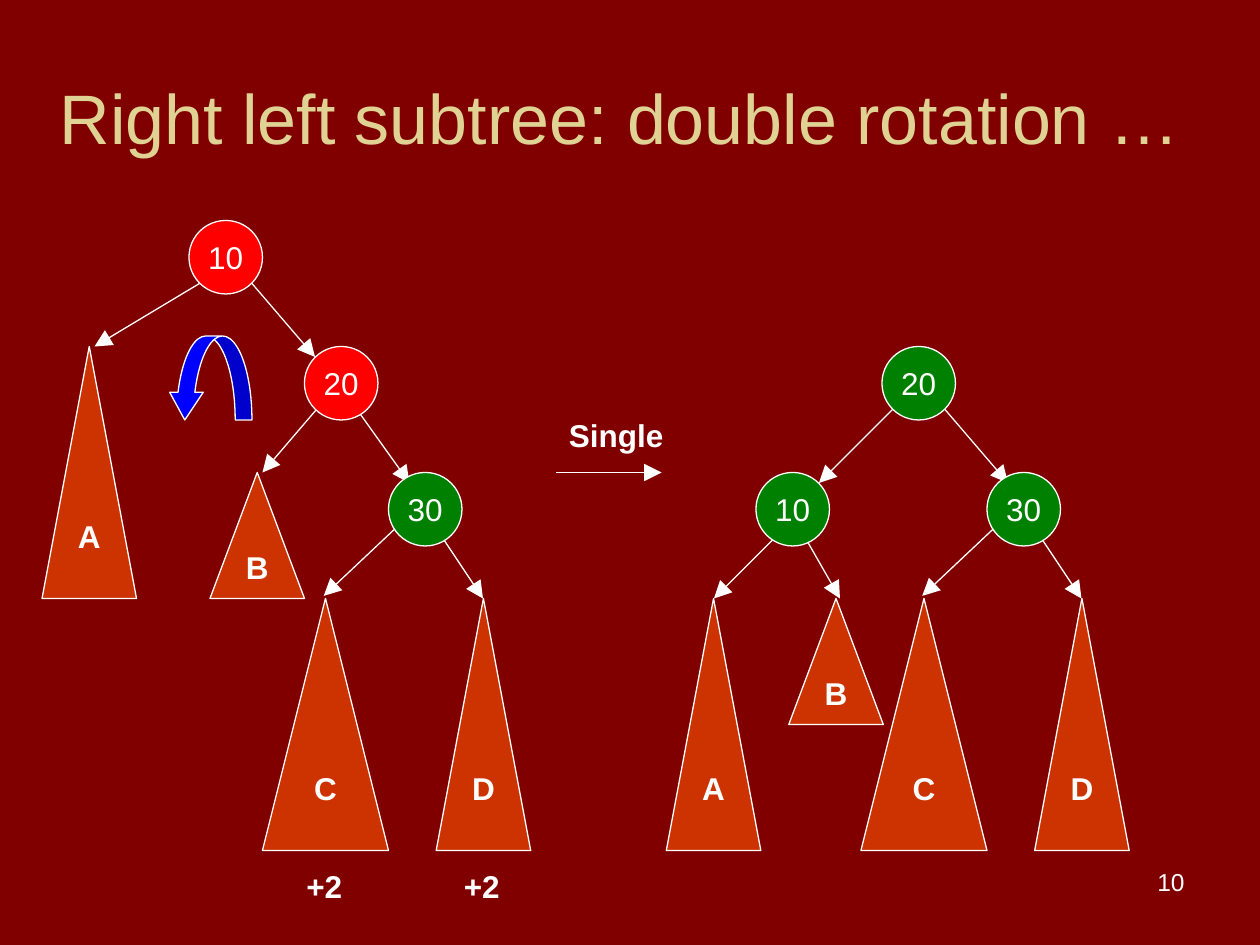
from lxml.etree import SubElement
from pptx import Presentation
from pptx.dml.color import RGBColor
from pptx.enum.shapes import MSO_CONNECTOR, MSO_SHAPE
from pptx.enum.text import MSO_ANCHOR, MSO_AUTO_SIZE, PP_ALIGN
from pptx.oxml.ns import qn
from pptx.util import Pt

MAROON = RGBColor(0x80, 0x00, 0x00)
SAND = RGBColor(0xDF, 0xD2, 0x93)
WHITE = RGBColor(0xFF, 0xFF, 0xFF)
RED = RGBColor(0xFF, 0x00, 0x00)
GREEN = RGBColor(0x00, 0x80, 0x00)
RUST = RGBColor(0xCC, 0x33, 0x00)
BLUE = RGBColor(0x00, 0x00, 0xFF)

NODE_SIZE = 42


def write(frame, text, size=18, color=WHITE, bold=False, align=PP_ALIGN.CENTER):
    para = frame.paragraphs[0]
    para.alignment = align
    span = para.add_run()
    span.text = text
    span.font.name = "Arial"
    span.font.size = Pt(size)
    span.font.bold = bold
    span.font.color.rgb = color


def add_title(page, text):
    title = page.shapes.title
    title.left, title.top, title.width, title.height = Pt(24), Pt(21.6), Pt(660), Pt(90)
    frame = title.text_frame
    frame.auto_size = MSO_AUTO_SIZE.NONE
    frame.vertical_anchor = MSO_ANCHOR.MIDDLE
    write(frame, text, size=40, color=SAND)


def add_outlined(page, kind, left, top, width, height, color):
    shape = page.shapes.add_shape(kind, Pt(left), Pt(top), Pt(width), Pt(height))
    shape.shadow.inherit = False
    shape.fill.solid()
    shape.fill.fore_color.rgb = color
    shape.line.color.rgb = WHITE
    shape.line.width = Pt(0.75)
    return shape


def add_labelled(page, kind, left, top, width, height, color, text, bold):
    frame = add_outlined(page, kind, left, top, width, height, color).text_frame
    frame.word_wrap = False
    frame.vertical_anchor = MSO_ANCHOR.MIDDLE
    write(frame, text, bold=bold)


def add_node(page, text, left, top, color):
    add_labelled(page, MSO_SHAPE.OVAL, left, top, NODE_SIZE, NODE_SIZE, color, text, False)


def add_subtree(page, text, apex, top, width=54, height=144):
    add_labelled(page, MSO_SHAPE.ISOSCELES_TRIANGLE, apex - width / 2, top,
                 width, height, RUST, text, True)


def add_arrow(page, start, end):
    points = [Pt(value) for value in (*start, *end)]
    arrow = page.shapes.add_connector(MSO_CONNECTOR.STRAIGHT, *points)
    arrow.line.color.rgb = WHITE
    arrow.line.width = Pt(0.75)
    properties = arrow.element.spPr
    SubElement(properties.find(qn("a:ln")), qn("a:tailEnd"),
               type="triangle", w="lg", len="lg")
    SubElement(properties, qn("a:effectLst"))


def add_rotation_arrow(page, left, top, size):
    arrow = add_outlined(page, MSO_SHAPE.CURVED_DOWN_ARROW, left, top, size, size, BLUE)
    for index, value in enumerate((0.2, 0.4, 0.33)):
        arrow.adjustments[index] = value
    arrow.element.spPr.find(qn("a:xfrm")).set("flipH", "1")


def add_label(page, text, left, top, width):
    box = page.shapes.add_textbox(Pt(left), Pt(top), Pt(width), Pt(29))
    box.text_frame.word_wrap = False
    box.text_frame.auto_size = MSO_AUTO_SIZE.SHAPE_TO_FIT_TEXT
    write(box.text_frame, text, bold=True, align=PP_ALIGN.LEFT)


def add_page_number(page, text):
    box = page.shapes.add_textbox(Pt(516), Pt(492), Pt(168), Pt(37.5))
    box.text_frame.word_wrap = True
    write(box.text_frame, text, size=14, align=PP_ALIGN.RIGHT)


def add_right_branch(page, left):
    add_arrow(page, (left + 6, 300), (left - 37, 340.5))
    add_arrow(page, (left + 30, 306), (left + 54, 342))
    add_node(page, "30", left, 270, GREEN)
    add_subtree(page, "C", left - 36, 342, width=72)
    add_subtree(page, "D", left + 54.25, 342)


def add_tree_before(page):
    add_arrow(page, (114, 162), (54, 198))
    add_arrow(page, (144, 162), (180, 204))
    add_arrow(page, (186, 228), (150, 270))
    add_arrow(page, (204, 234), (234, 276))
    add_node(page, "10", 108, 126, RED)
    add_node(page, "20", 174, 198, RED)
    add_subtree(page, "A", 51, 198)
    add_subtree(page, "B", 147, 270, height=72)
    add_right_branch(page, 222)
    add_rotation_arrow(page, 96, 192, 48)
    for left in (168, 258):
        add_label(page, "+2", left, 492, 36)


def add_tree_after(page):
    add_arrow(page, (516, 228), (468, 276))
    add_arrow(page, (540, 234), (576, 276))
    add_arrow(page, (444, 306), (408, 342))
    add_arrow(page, (456, 300), (480, 342))
    add_node(page, "20", 504, 198, GREEN)
    add_node(page, "10", 432, 270, GREEN)
    add_subtree(page, "A", 407.75, 342)
    add_right_branch(page, 564)
    add_subtree(page, "B", 477.75, 342, height=72)


def main():
    deck = Presentation()
    deck.slide_width, deck.slide_height = Pt(720), Pt(540)
    page = deck.slides.add_slide(deck.slide_layouts[5])
    page.background.fill.solid()
    page.background.fill.fore_color.rgb = MAROON
    add_title(page, "Right left subtree: double rotation …")
    add_tree_before(page)
    add_arrow(page, (318, 270), (378, 270))
    add_label(page, "Single", 318, 234, 68.5)
    add_tree_after(page)
    add_page_number(page, "10")
    deck.save("out.pptx")


if __name__ == "__main__":
    main()
